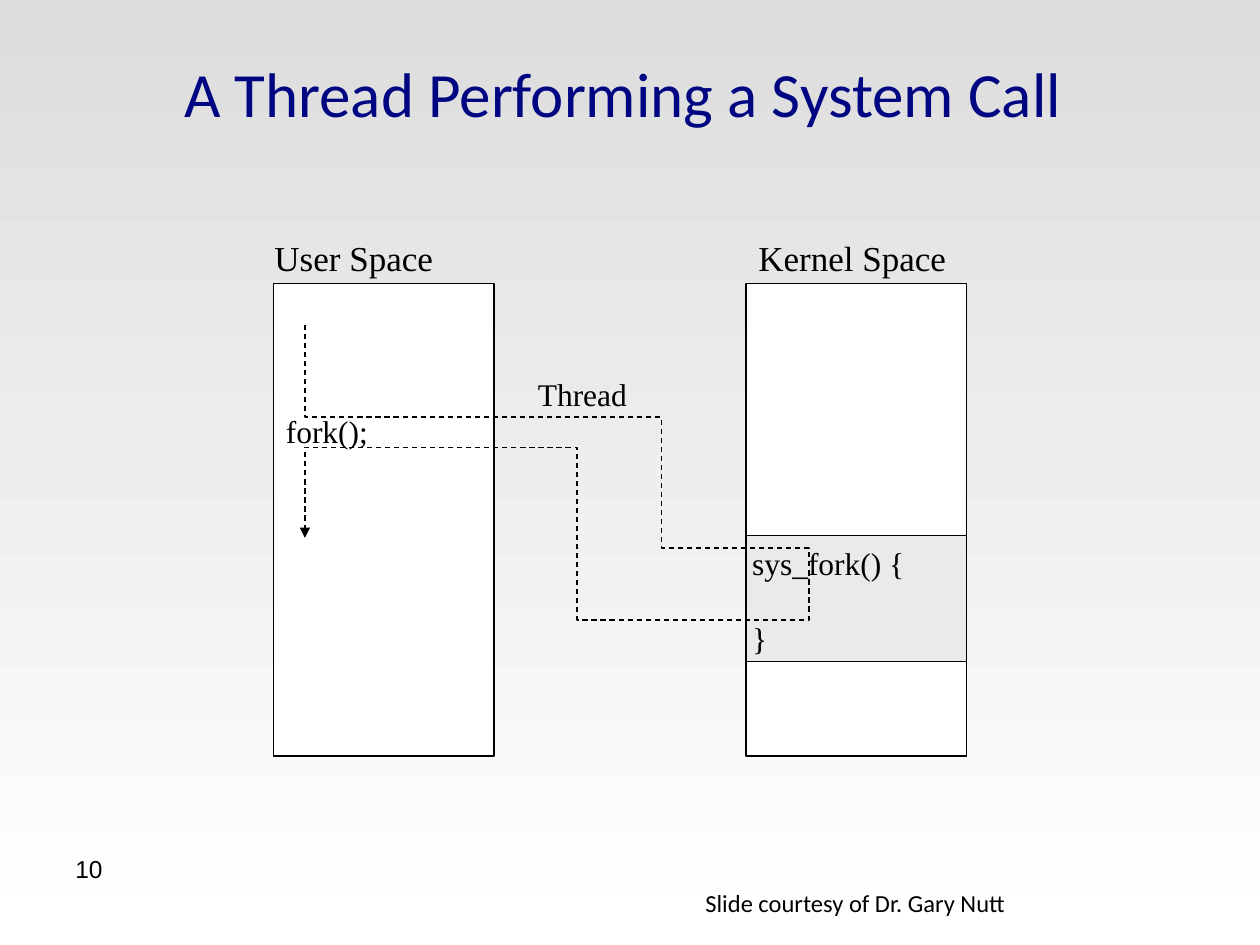
from lxml import etree
from pptx import Presentation
from pptx import util as u
from pptx.dml.color import RGBColor
from pptx.enum import dml, shapes, text
from pptx.oxml.ns import qn

SERIF = "Times New Roman"


def color(value):
    return RGBColor.from_string(value)


def set_background(s, top, bottom):
    fill = s.background.fill
    fill.gradient()
    fill.gradient_angle = 270
    for stop, position, value in zip(fill.gradient_stops, (0, 1), (top, bottom)):
        stop.position = position
        stop.color.rgb = color(value)


def set_line(sp):
    sp.shadow.inherit = False
    sp.line.color.rgb = color("000000")
    sp.line.width = u.Pt(0.75)


def add_text(s, content, x, y, w, h, size=18, font=SERIF, fill="000000",
             wrap=False, align=text.PP_ALIGN.LEFT,
             anchor=text.MSO_ANCHOR.TOP, gap=0):
    sp = s.shapes.add_textbox(u.Inches(x), u.Inches(y), u.Inches(w), u.Inches(h))
    tf = sp.text_frame
    tf.word_wrap = wrap
    tf.vertical_anchor = anchor
    for i, line in enumerate(content.split("\n")):
        p = tf.paragraphs[0] if i == 0 else tf.add_paragraph()
        p.alignment = align
        if i:
            p.space_before = u.Pt(gap)
        r = p.add_run()
        r.text = line
        r.font.size = u.Pt(size)
        r.font.name = font
        r.font.color.rgb = color(fill)


def add_box(s, x, y, w, h, fill="FFFFFF"):
    sp = s.shapes.add_shape(shapes.MSO_SHAPE.RECTANGLE, u.Inches(x), u.Inches(y),
                            u.Inches(w), u.Inches(h))
    sp.fill.solid()
    sp.fill.fore_color.rgb = color(fill)
    set_line(sp)


def add_dashed_arrow(s, points):
    start, *rest = [(u.Inches(x), u.Inches(y)) for x, y in points]
    builder = s.shapes.build_freeform(*start)
    builder.add_line_segments(rest, close=False)
    sp = builder.convert_to_shape()
    sp.fill.background()
    set_line(sp)
    sp.line.dash_style = dml.MSO_LINE.DASH
    ln = sp.line._get_or_add_ln()
    etree.SubElement(ln, qn("a:tailEnd"), type="triangle")


def main():
    prs = Presentation()
    prs.slide_width, prs.slide_height = u.Inches(10), u.Inches(7.5)
    s = prs.slides.add_slide(prs.slide_layouts[6])
    set_background(s, "DDDDDD", "FFFFFF")

    add_text(s, "A Thread Performing a System Call ", 0.5, 0.3, 9, 0.87, size=36,
             font="Calibri", fill="000681", wrap=True,
             align=text.PP_ALIGN.CENTER, anchor=text.MSO_ANCHOR.MIDDLE)
    add_text(s, "10", 0.5, 6.73, 2.33, 0.52, size=14, font="Arial", wrap=True)
    add_text(s, "Slide courtesy of Dr. Gary Nutt", 5.5, 7, 3, 0.34, size=14,
             font="Calibri", wrap=True)

    user_x, kernel_x, width = 2.17, 5.92, 1.75
    for x in (user_x, kernel_x):
        add_box(s, x, 2.25, width, 3.75)
    add_text(s, "User Space", 2.08, 1.83, 1.46, 0.43, size=20)
    add_text(s, "Kernel Space", kernel_x, 1.83, 1.69, 0.43, size=20)
    add_text(s, "fork();", user_x, 3.22, 0.85, 0.4)
    add_box(s, kernel_x, 4.25, width, 1, fill="EAEAEA")
    add_text(s, "sys_fork() {\n}", 5.87, 4.27, 1.41, 1, gap=21)

    add_dashed_arrow(s, [(2.42, 2.58), (2.42, 3.31), (5.25, 3.31), (5.25, 4.35),
                         (6.42, 4.35), (6.42, 4.92), (4.58, 4.92), (4.58, 3.55),
                         (2.42, 3.55), (2.42, 4.27)])
    add_text(s, "Thread", 4.17, 2.93, 0.91, 0.4)
    prs.save("out.pptx")


if __name__ == "__main__":
    main()
